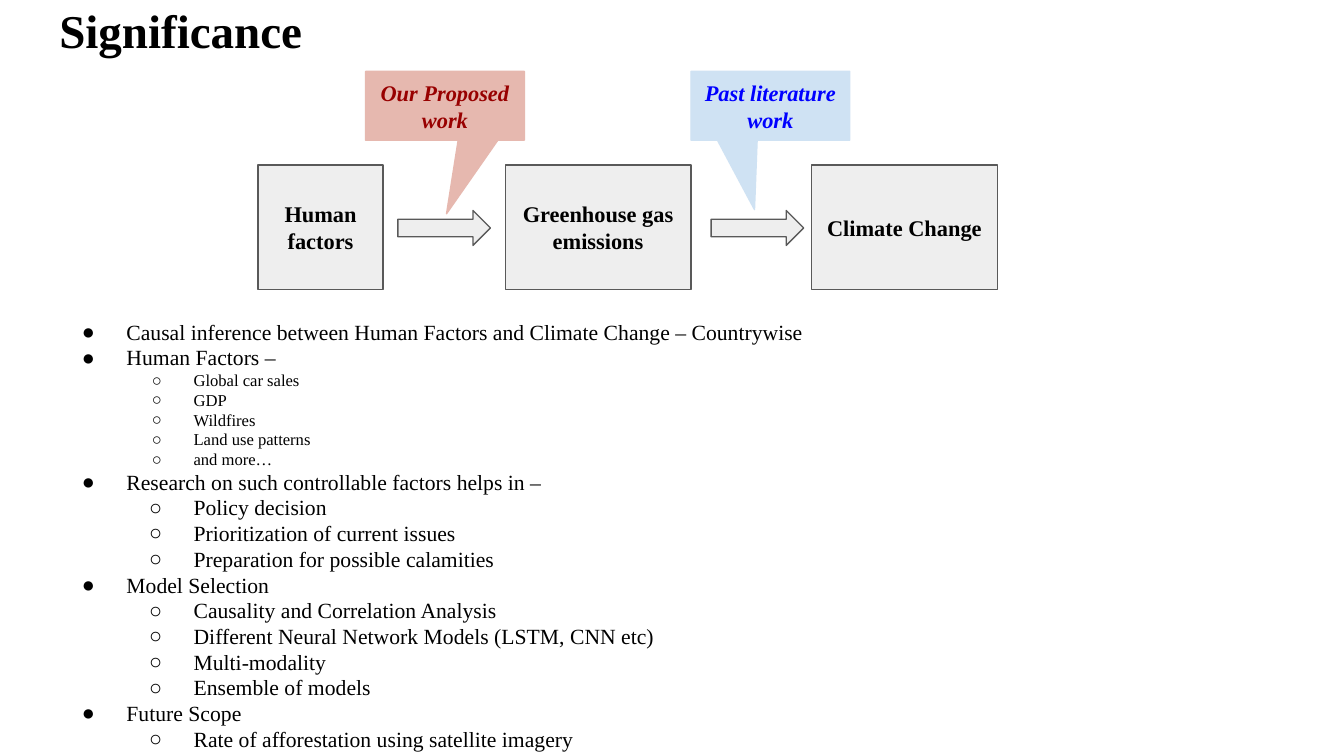
from lxml.etree import SubElement
from pptx import Presentation
from pptx.dml.color import RGBColor
from pptx.enum.shapes import MSO_SHAPE
from pptx.enum.text import MSO_ANCHOR, MSO_AUTO_SIZE, PP_ALIGN
from pptx.oxml.ns import qn
from pptx.util import Cm, Pt

FONT = "Times New Roman"
MARGIN = Cm(0.25)


def add_text(shape, paragraph, text, size, color="000000", bold=False, italic=False):
    """Add one run and give its text frame the slide's common margins."""
    frame = shape.text_frame
    frame.word_wrap = True
    frame.auto_size = MSO_AUTO_SIZE.NONE
    frame.margin_left = frame.margin_right = MARGIN
    frame.margin_top = frame.margin_bottom = MARGIN
    run = paragraph.add_run()
    run.text = text
    run.font.name = FONT
    run.font.size = Pt(size)
    run.font.bold = bold
    run.font.italic = italic
    run.font.color.rgb = RGBColor.from_string(color)


def add_block(kind, left, top, width, height, fill, line, text="", color="000000", italic=False):
    shape = slide.shapes.add_shape(kind, Cm(left), Cm(top), Cm(width), Cm(height))
    shape.shadow.inherit = False
    shape.fill.solid()
    shape.fill.fore_color.rgb = RGBColor.from_string(fill)
    shape.line.color.rgb = RGBColor.from_string(line)
    shape.line.width = Pt(0.75)
    if text:
        shape.text_frame.vertical_anchor = MSO_ANCHOR.MIDDLE
        paragraph = shape.text_frame.paragraphs[0]
        paragraph.alignment = PP_ALIGN.CENTER
        add_text(shape, paragraph, text, 12, color, True, italic)
    return shape


presentation = Presentation()
presentation.slide_width = Cm(25.4)
presentation.slide_height = Cm(14.29)
slide = presentation.slides.add_slide(presentation.slide_layouts[5])

# Title
title = slide.shapes.title
title.left, title.top, title.width, title.height = Cm(0.87), Cm(-0.23), Cm(23.67), Cm(1.6)
title.text_frame.vertical_anchor = MSO_ANCHOR.MIDDLE
paragraph = title.text_frame.paragraphs[0]
paragraph.alignment = PP_ALIGN.LEFT
add_text(title, paragraph, "Significance", 25.2, bold=True)

# Bullet list: level, size, text
bullets = [
    (0, 11.6, "Causal inference between Human Factors and Climate Change – Countrywise"),
    (0, 11.6, "Human Factors –"),
    (1, 8.9, "Global car sales"),
    (1, 8.9, "GDP"),
    (1, 8.9, "Wildfires"),
    (1, 8.9, "Land use patterns"),
    (1, 8.9, "and more…"),
    (0, 11.6, "Research on such controllable factors helps in –"),
    (1, 11.6, "Policy decision"),
    (1, 11.6, "Prioritization of current issues"),
    (1, 11.6, "Preparation for possible calamities"),
    (0, 11.6, "Model Selection"),
    (1, 11.6, "Causality and Correlation Analysis"),
    (1, 11.6, "Different Neural Network Models (LSTM, CNN etc)"),
    (1, 11.6, "Multi-modality"),
    (1, 11.6, "Ensemble of models"),
    (0, 11.6, "Future Scope"),
    (1, 11.6, "Rate of afforestation using satellite imagery"),
]
body = slide.shapes.add_textbox(Cm(0.87), Cm(5.79), Cm(23.67), Cm(8.38))
for index, (level, size, text) in enumerate(bullets):
    frame = body.text_frame
    paragraph = frame.add_paragraph() if index else frame.paragraphs[0]
    paragraph.level = level
    paragraph.line_spacing = 0.99
    properties = paragraph._p.get_or_add_pPr()
    properties.set("marL", str(Cm(1.27 * (level + 1))))
    properties.set("indent", str(-Cm(0.79 if size < 10 else 0.84)))
    SubElement(properties, qn("a:buFont"), typeface=FONT)
    SubElement(properties, qn("a:buChar"), char="●○"[level])
    add_text(body, paragraph, text, size)

# Cause-and-effect chain
for left, width, text in [
    (4.88, 2.36, "Human factors"),
    (9.55, 3.51, "Greenhouse gas emissions"),
    (15.34, 3.51, "Climate Change"),
]:
    add_block(MSO_SHAPE.RECTANGLE, left, 3.12, width, 2.36, "EEEEEE", "595959", text)

for left in (7.52, 13.44):
    add_block(MSO_SHAPE.RIGHT_ARROW, left, 3.98, 1.75, 0.66, "EEEEEE", "595959")

# Callouts pointing at the arrows
for left, fill, color, text, tip in [
    (13.06, "CFE2F3", "0000FF", "Past literature work", (-0.1, 1.51)),
    (6.91, "E6B8AF", "980000", "Our Proposed work", (0.01, 1.57)),
]:
    callout = add_block(MSO_SHAPE.RECTANGULAR_CALLOUT, left, 1.35, 3, 1.3,
                        fill, fill, text, color, True)
    callout.adjustments[0], callout.adjustments[1] = tip

presentation.save("out.pptx")
